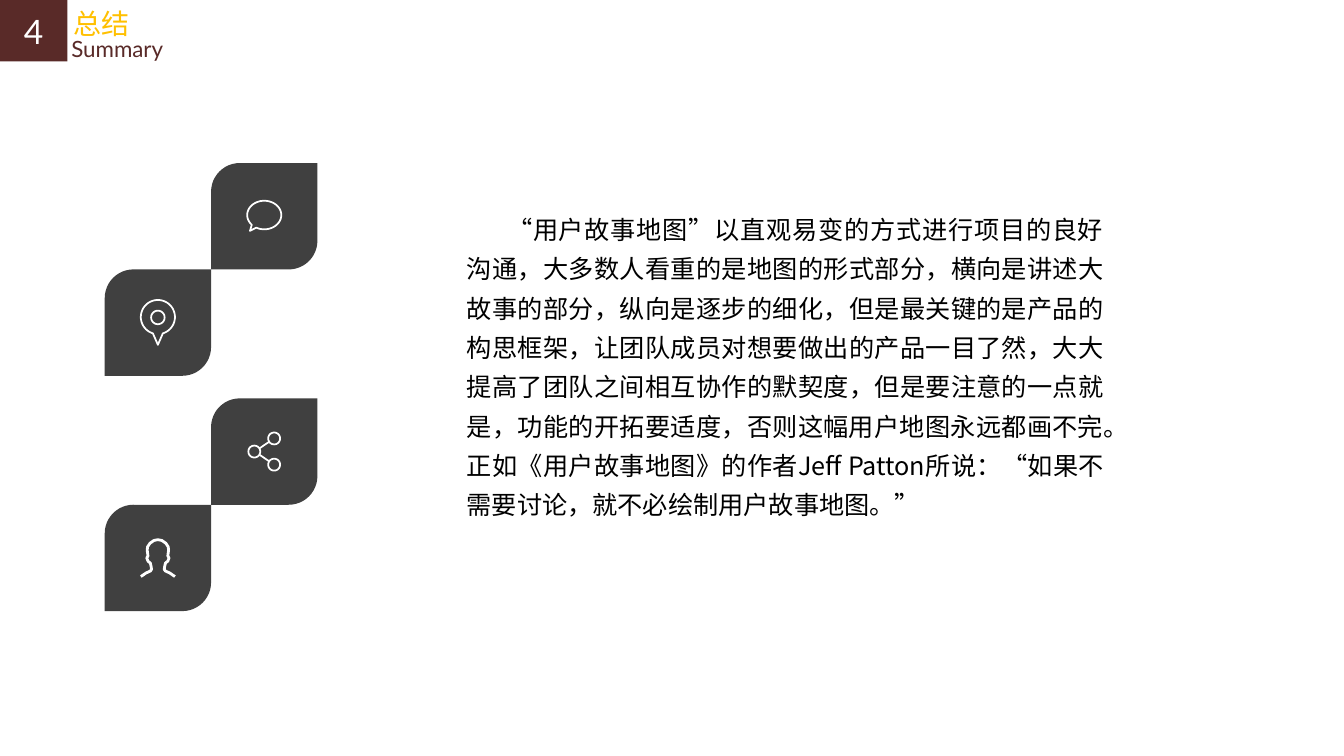
import dataclasses
import math

import pptx
import pptx.dml.color
import pptx.enum.lang
import pptx.enum.shapes
import pptx.enum.text
import pptx.oxml.ns
import pptx.util
from lxml import etree

Cm = pptx.util.Cm
Point = tuple[float, float]
Align = pptx.enum.text.PP_ALIGN
Shape = pptx.enum.shapes.MSO_SHAPE


@dataclasses.dataclass(frozen=True)
class Theme:
    maroon: str = "592A28"
    gold: str = "FFC000"
    charcoal: str = "404040"
    white: str = "FFFFFF"
    black: str = "000000"
    latin: str = "Lato"
    chinese: str = "Noto Sans CJK SC"
    number_size: int = 24
    title_size: int = 20
    body_size: int = 18
    subtitle_size: int = 16


@dataclasses.dataclass(frozen=True)
class Style:
    size: int
    color: str
    font: str


@dataclasses.dataclass(frozen=True)
class Label:
    text: str
    left: float
    top: float
    width: float
    height: float
    style: Style
    align: Align = Align.LEFT
    line_spacing: float = 1.0
    indent: float = 0


@dataclasses.dataclass(frozen=True)
class Contour:
    points: list[Point]
    closed: bool = True


@dataclasses.dataclass(frozen=True)
class Tile:
    column: int
    top: float
    icon: list[Contour]
    stroke: float = 1.25


THEME = Theme()
TILE_SIDE = 2.68
TILE_LEFT = 2.64
TILE_TOP = 4.11
PAIR_PITCH = 5.93
SUMMARY = (
    "“用户故事地图”以直观易变的方式进行项目的良好沟通，"
    "大多数人看重的是地图的形式部分，横向是讲述大故事的部分，"
    "纵向是逐步的细化，但是最关键的是产品的构思框架，"
    "让团队成员对想要做出的产品一目了然，大大提高了团队之间相互协作的默契度，"
    "但是要注意的一点就是，功能的开拓要适度，否则这幅用户地图永远都画不完。"
    "正如《用户故事地图》的作者Jeff Patton所说："
    "“如果不需要讨论，就不必绘制用户故事地图。”"
)


def rgb(color: str) -> pptx.dml.color.RGBColor:
    return pptx.dml.color.RGBColor.from_string(color)


def arc(x: float, y: float, rx: float, ry: float,
        start: int = 0, end: int = 360) -> list[Point]:
    steps = 48
    angles = [math.radians(start + (end - start) * step / steps) for step in range(steps + 1)]
    return [(x + rx * math.cos(angle), y + ry * math.sin(angle)) for angle in angles]


def speech_icon() -> list[Contour]:
    return [Contour(arc(0, -0.03, 0.43, 0.36, 137, 478) + [(-0.36, 0.37)])]


def pin_icon() -> list[Contour]:
    return [
        Contour(arc(0, -0.14, 0.43, 0.43, 107, 433) + [(0, 0.56)]),
        Contour(arc(0, -0.13, 0.17, 0.17)),
    ]


def share_icon() -> list[Contour]:
    nodes = [(-0.25, 0), (0.25, -0.33), (0.25, 0.33)]
    circles = [Contour(arc(x, y, 0.15, 0.15)) for x, y in nodes]
    links = [Contour([(-0.12, 0.08 * side), (0.13, 0.25 * side)], False) for side in (-1, 1)]
    return circles + links


def person_icon() -> list[Contour]:
    right = [
        (0, -0.46), (0.1, -0.44), (0.2, -0.37), (0.26, -0.28), (0.27, -0.2),
        (0.25, -0.05), (0.28, 0), (0.25, 0.08), (0.19, 0.13), (0.17, 0.22),
        (0.16, 0.29), (0.19, 0.33), (0.3, 0.38), (0.43, 0.47),
    ]
    left = [(-x, y) for x, y in reversed(right[1:])]
    return [Contour(left + right, False)]


def write(box, label: Label) -> None:
    frame = box.text_frame
    frame.word_wrap = True
    para = frame.paragraphs[0]
    para.alignment = label.align
    para.line_spacing = label.line_spacing
    if label.indent:
        para._p.get_or_add_pPr().set("indent", str(int(Cm(label.indent))))
    span = para.add_run()
    span.text = label.text
    font = span.font
    font.size = pptx.util.Pt(label.style.size)
    font.color.rgb = rgb(label.style.color)
    font.name = label.style.font
    font.language_id = pptx.enum.lang.MSO_LANGUAGE_ID.SIMPLIFIED_CHINESE
    east_asian = etree.SubElement(span._r.get_or_add_rPr(), pptx.oxml.ns.qn("a:ea"))
    east_asian.set("typeface", label.style.font)


def add_block(page, kind: Shape, left: float, top: float,
              width: float, height: float, color: str):
    block = page.shapes.add_shape(kind, Cm(left), Cm(top), Cm(width), Cm(height))
    block.shadow.inherit = False
    block.fill.solid()
    block.fill.fore_color.rgb = rgb(color)
    block.line.fill.background()
    return block


def add_label(page, label: Label) -> None:
    box = page.shapes.add_textbox(
        Cm(label.left), Cm(label.top), Cm(label.width), Cm(label.height))
    write(box, label)
    box.text_frame.auto_size = pptx.enum.text.MSO_AUTO_SIZE.SHAPE_TO_FIT_TEXT


def add_icon(page, x: float, y: float, contours: list[Contour], stroke: float) -> None:
    builder = None
    for contour in contours:
        start, *rest = [(Cm(x + dx), Cm(y + dy)) for dx, dy in contour.points]
        if builder is None:
            builder = page.shapes.build_freeform(*start)
        else:
            builder.move_to(*start)
        builder.add_line_segments(rest, close=contour.closed)
    icon = builder.convert_to_shape()
    icon.shadow.inherit = False
    icon.fill.background()
    icon.line.color.rgb = rgb(THEME.white)
    icon.line.width = pptx.util.Pt(stroke)


def add_tile(page, tile: Tile) -> None:
    left = TILE_LEFT + tile.column * TILE_SIDE
    leaf = add_block(page, Shape.ROUND_2_DIAG_RECTANGLE, left, tile.top,
                     TILE_SIDE, TILE_SIDE, THEME.charcoal)
    leaf.adjustments[0] = 0.27
    add_icon(page, left + TILE_SIDE / 2, tile.top + TILE_SIDE / 2, tile.icon, tile.stroke)


def main() -> None:
    deck = pptx.Presentation()
    deck.slide_width, deck.slide_height = Cm(33.87), Cm(19.05)
    page = deck.slides.add_slide(deck.slide_layouts[6])

    number = Label("4", 0, 0, 1.7, 1.55,
                   Style(THEME.number_size, THEME.white, THEME.latin), Align.CENTER)
    badge = add_block(page, Shape.RECTANGLE, number.left, number.top,
                      number.width, number.height, THEME.maroon)
    badge.text_frame.vertical_anchor = pptx.enum.text.MSO_ANCHOR.MIDDLE
    write(badge, number)

    labels = [
        Label("总结", 1.6, 0.03, 4.83, 1.11,
              Style(THEME.title_size, THEME.gold, THEME.chinese)),
        Label("Summary", 1.55, 0.76, 6.45, 0.94,
              Style(THEME.subtitle_size, THEME.maroon, THEME.latin)),
        Label(SUMMARY, 11.51, 5.05, 16.56, 8.15,
              Style(THEME.body_size, THEME.black, THEME.chinese),
              Align.JUSTIFY, 1.3, 1.02),
    ]
    for label in labels:
        add_label(page, label)

    tiles = [
        Tile(1, TILE_TOP, speech_icon()),
        Tile(0, TILE_TOP + TILE_SIDE, pin_icon()),
        Tile(1, TILE_TOP + PAIR_PITCH, share_icon()),
        Tile(0, TILE_TOP + PAIR_PITCH + TILE_SIDE, person_icon(), 2),
    ]
    for tile in tiles:
        add_tile(page, tile)

    deck.save("out.pptx")


if __name__ == "__main__":
    main()
